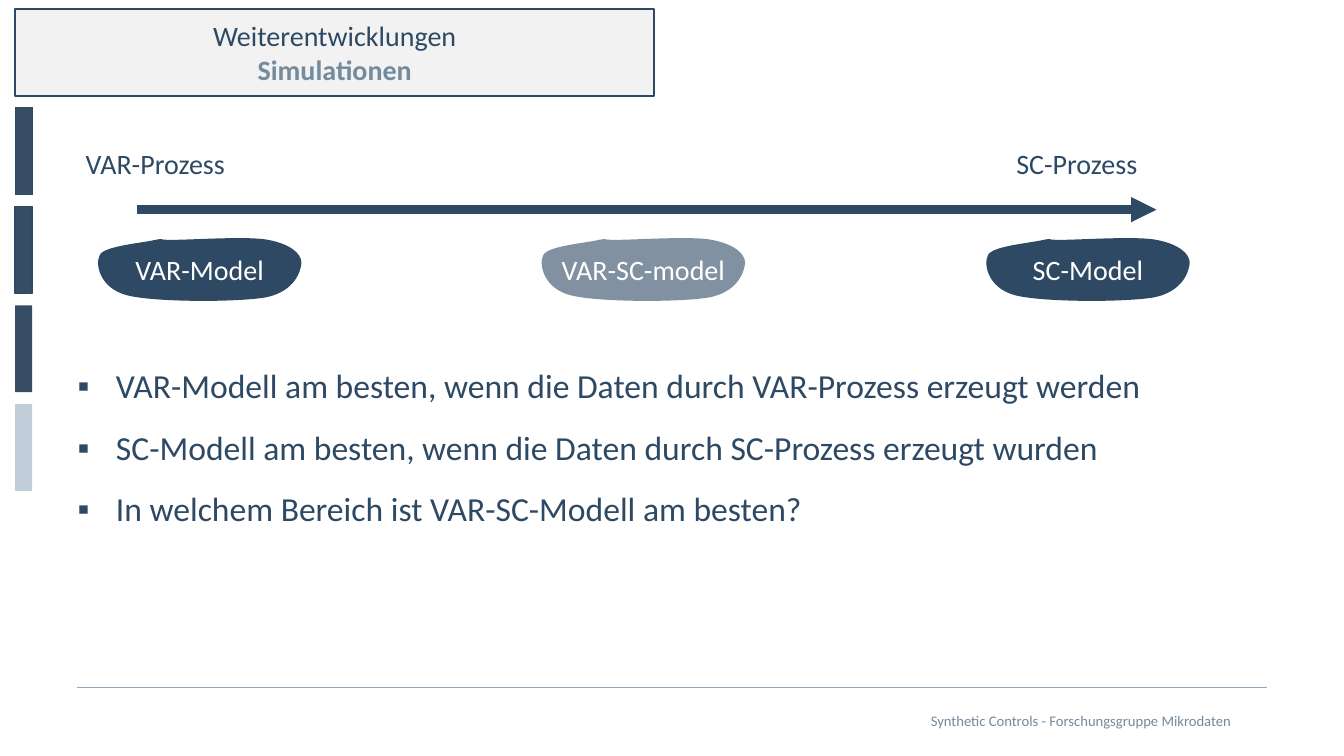
"""Build the slide on simulations between VAR and SC processes."""
from dataclasses import dataclass

from lxml.etree import SubElement
from pptx import Presentation
from pptx.dml.color import RGBColor
from pptx.enum.shapes import MSO_CONNECTOR, MSO_SHAPE
from pptx.enum.text import MSO_ANCHOR, MSO_AUTO_SIZE, PP_ALIGN
from pptx.oxml.ns import qn
from pptx.util import Inches, Pt

NAVY, STEEL, SLATE, MIST = "2E4964", "748A9D", "374D64", "C1CDD8"
WHITE, PALE, RULE = "FFFFFF", "F2F2F2", "93A7BB"
BLOB_WIDTH, BLOB_HEIGHT = 2.02, 0.62
BLOB_START = (0.74, 0.02)
BLOB_CURVES = (
    ((0.55, 0.02), (0.69, 0), (0.57, 0.02)),
    ((0.45, 0.05), (0.06, 0.08), (0.02, 0.17)),
    ((-0.03, 0.26), (0.02, 0.5), (0.29, 0.57)),
    ((0.57, 0.64), (1.38, 0.64), (1.67, 0.59)),
    ((1.95, 0.53), (2.01, 0.34), (2.02, 0.25)),
    ((2.02, 0.15), (1.9, 0.06), (1.69, 0.02)),
    ((1.49, -0.02), (0.93, 0.02), (0.74, 0.02)),
)
BULLETS = (
    "VAR-Modell am besten, wenn die Daten durch VAR-Prozess erzeugt werden",
    "SC-Modell am besten, wenn die Daten durch SC-Prozess erzeugt wurden",
    "In welchem Bereich ist VAR-SC-Modell am besten?",
)


@dataclass
class Line:
    """A paragraph of text with its font."""
    text: str
    size: float = 20
    color: str = NAVY
    bold: bool = False


@dataclass
class Bar:
    """A navigation bar in the left margin."""
    fill: str
    outline: float = 0


@dataclass
class Model:
    """A model drawn as a blob under the arrow."""
    name: str
    left: float
    opacity: int = 100


def rgb(color: str) -> RGBColor:
    """Turn a hex string into a colour."""
    return RGBColor.from_string(color)


def write(sp, lines, inset=0.08, align=PP_ALIGN.LEFT, anchor=MSO_ANCHOR.TOP, **frame) -> None:
    """Fill a shape with one paragraph per line."""
    tf = sp.text_frame
    margins = {f"margin_{side}": Inches(inset) for side in ("left", "top", "right", "bottom")}
    for name, value in ({"word_wrap": True, "vertical_anchor": anchor} | margins | frame).items():
        setattr(tf, name, value)
    for i, line in enumerate(lines):
        p = tf.paragraphs[0] if i == 0 else tf.add_paragraph()
        p.alignment = align
        r = p.add_run()
        r.text = line.text
        r.font.color.rgb = rgb(line.color)
        fmt = {"name": "Calibri", "size": Pt(line.size), "bold": line.bold}
        for name, value in fmt.items():
            setattr(r.font, name, value)


def add_text(s, box, lines, **fmt):
    """Add a text box."""
    sp = s.shapes.add_textbox(*map(Inches, box))
    write(sp, lines, **fmt)
    return sp


def paint(sp, fill: str, outline: float = 0) -> None:
    """Give a shape its fill and outline, without shadow."""
    sp.shadow.inherit = False
    sp.fill.solid()
    sp.fill.fore_color.rgb = rgb(fill)
    if outline:
        sp.line.color.rgb = rgb(NAVY)
        sp.line.width = Pt(outline)
    else:
        sp.line.fill.background()


def add_box(s, box, fill: str, outline: float = 0):
    """Add a rectangle."""
    sp = s.shapes.add_shape(MSO_SHAPE.RECTANGLE, *map(Inches, box))
    paint(sp, fill, outline)
    return sp


def add_line(s, x1: float, x2: float, y: float, color: str, width: float, arrow=False) -> None:
    """Add a horizontal line, optionally with an arrowhead."""
    ends = map(Inches, (x1, y, x2, y))
    sp = s.shapes.add_connector(MSO_CONNECTOR.STRAIGHT, *ends)
    sp.line.color.rgb = rgb(color)
    sp.line.width = Pt(width)
    if arrow:
        SubElement(sp.line._get_or_add_ln(), qn("a:tailEnd"), type="triangle")
    SubElement(sp._element.spPr, qn("a:effectLst"))


def bend(sp) -> None:
    """Give a freeform the curved blob outline."""
    outline = sp._element.spPr.find(f".//{qn('a:path')}")
    for step in list(outline):
        outline.remove(step)
    steps = [("a:moveTo", (BLOB_START,))] + [("a:cubicBezTo", curve) for curve in BLOB_CURVES]
    for tag, points in steps:
        step = SubElement(outline, qn(tag))
        for x, y in points:
            SubElement(step, qn("a:pt"), x=str(Inches(x)), y=str(Inches(y)))
    SubElement(outline, qn("a:close"))


def add_model(s, model: Model, top: float = 2.36) -> None:
    """Add a blob with the name of a model."""
    left, right = Inches(model.left), Inches(model.left + BLOB_WIDTH)
    builder = s.shapes.build_freeform(left, Inches(top))
    builder.add_line_segments([(right, Inches(top + BLOB_HEIGHT))])
    sp = builder.convert_to_shape()
    bend(sp)
    paint(sp, NAVY)
    if model.opacity < 100:
        clr = sp._element.spPr.find(f"{qn('a:solidFill')}/{qn('a:srgbClr')}")
        SubElement(clr, qn("a:alpha"), val=str(model.opacity * 1000))
    write(sp, [Line(model.name, color=WHITE)], align=PP_ALIGN.CENTER, anchor=MSO_ANCHOR.MIDDLE)


def add_bullets(s) -> None:
    """Add the bulleted findings."""
    sp = add_text(s, (0.77, 3.67, 11.81, 2.73), [Line(b, 24) for b in BULLETS], inset=0)
    for p in sp.text_frame.paragraphs:
        p.line_spacing, p.space_before = 0.9, Pt(18)
        pPr = p._p.get_or_add_pPr()
        pPr.set("marL", str(Inches(0.38)))
        pPr.set("indent", str(Inches(-0.38)))
        SubElement(pPr, qn("a:buFont"), typeface="Arial")
        SubElement(pPr, qn("a:buChar"), char="▪")


def main() -> None:
    """Build and save the slide."""
    prs = Presentation()
    prs.slide_width, prs.slide_height = Inches(13.33), Inches(7.5)
    s = prs.slides.add_slide(prs.slide_layouts[6])

    add_line(s, 0.76, 12.57, 6.82, RULE, 1)
    add_text(s, (6.04, 6.95, 6.17, 0.4),
             [Line("Synthetic Controls - Forschungsgruppe Mikrodaten", 10.5, STEEL)],
             inset=0, align=PP_ALIGN.RIGHT, anchor=MSO_ANCHOR.MIDDLE)

    bars = (Bar(MIST), Bar(SLATE, 0.75), Bar(SLATE, 1), Bar(SLATE), Bar(MIST))
    for i, bar in enumerate(bars):
        add_box(s, (0.15, 0.09 + 0.98 * i, 0.17, 0.86), bar.fill, bar.outline)
    header = add_box(s, (0.15, 0.09, 6.34, 0.86), PALE, 1.5)
    write(header, [Line("Weiterentwicklungen"), Line("Simulationen", color=STEEL, bold=True)],
          align=PP_ALIGN.CENTER, anchor=MSO_ANCHOR.MIDDLE)

    add_bullets(s)
    add_text(s, (0.77, 1.37, 4.39, 0.52), [Line("VAR-Prozess")])
    add_text(s, (10, 1.37, 1.37, 0.5), [Line("SC-Prozess")],
             word_wrap=False, auto_size=MSO_AUTO_SIZE.SHAPE_TO_FIT_TEXT)
    add_line(s, 1.36, 11.47, 2.08, NAVY, 6, arrow=True)
    for model in (Model("VAR-Model", 0.97), Model("SC-Model", 9.78),
                  Model("VAR-SC-model", 5.37, 60)):
        add_model(s, model)

    prs.save("out.pptx")


if __name__ == "__main__":
    main()
